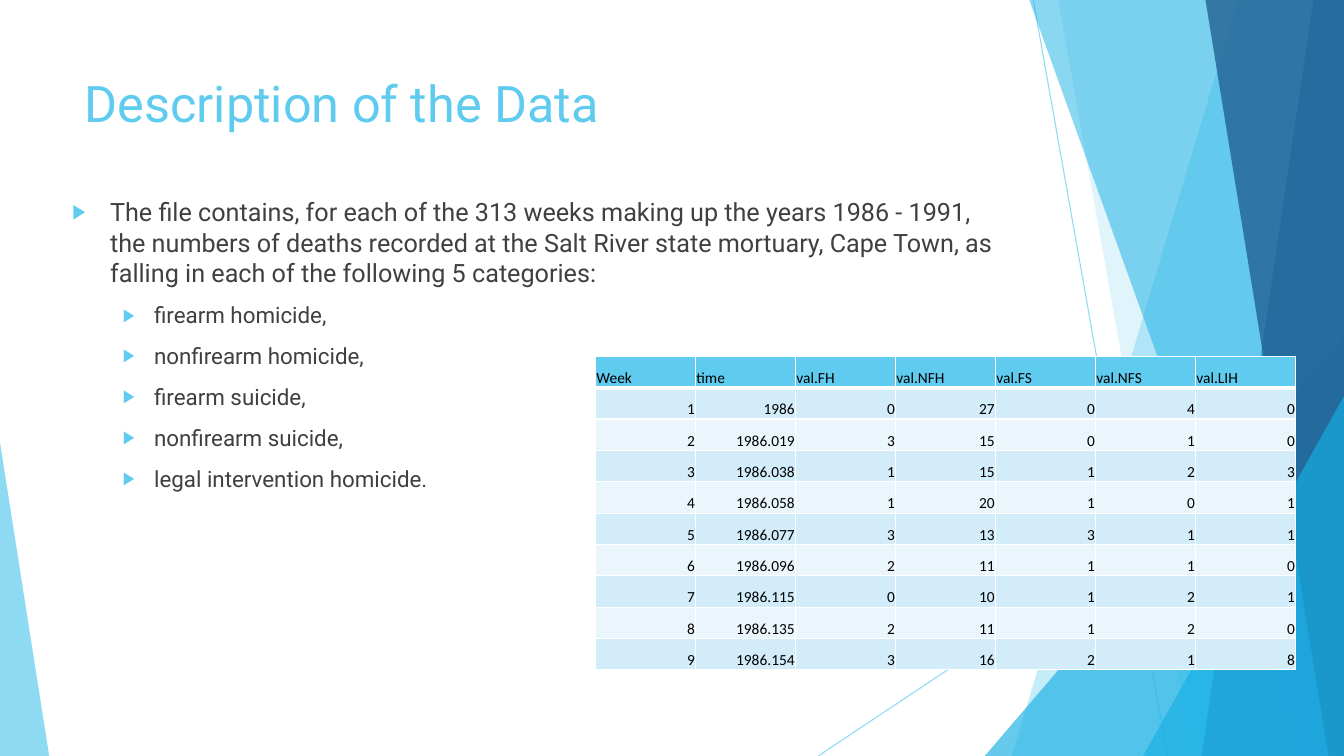
from lxml.etree import SubElement
from pptx import Presentation
from pptx.dml.color import RGBColor
from pptx.enum.shapes import MSO_CONNECTOR, MSO_SHAPE
from pptx.enum.text import MSO_ANCHOR, MSO_AUTO_SIZE, PP_ALIGN
from pptx.oxml.ns import qn
from pptx.util import Cm, Pt

COLORS = {
    "sky": "5FCBEF", "cyan": "17B0E4", "blue": "2E83C3", "navy": "226292",
    "text": "404040", "black": "000000", "white": "FFFFFF",
    "band_dark": "D2ECF9", "band_light": "EAF6FC",
}
WIDTH, HEIGHT = 33.87, 19.05

INTRO = ("The file contains, for each of the 313 weeks making up the years 1986 - 1991, "
         "the numbers of deaths recorded at the Salt River state mortuary, Cape Town, "
         "as falling in each of the following 5 categories:")
CATEGORIES = ["firearm homicide,", "nonfirearm homicide,", "firearm suicide,",
              "nonfirearm suicide,", "legal intervention homicide."]
DEATHS = [
    ["Week", "time", "val.FH", "val.NFH", "val.FS", "val.NFS", "val.LIH"],
    ["1", "1986", "0", "27", "0", "4", "0"],
    ["2", "1986.019", "3", "15", "0", "1", "0"],
    ["3", "1986.038", "1", "15", "1", "2", "3"],
    ["4", "1986.058", "1", "20", "1", "0", "1"],
    ["5", "1986.077", "3", "13", "3", "1", "1"],
    ["6", "1986.096", "2", "11", "1", "1", "0"],
    ["7", "1986.115", "0", "10", "1", "2", "1"],
    ["8", "1986.135", "2", "11", "1", "2", "0"],
    ["9", "1986.154", "3", "16", "2", "1", "8"],
]


def rgb(name):
    return RGBColor.from_string(COLORS[name])


def paint(fmt, color, alpha):
    fmt.solid()
    fmt.fore_color.rgb = rgb(color)
    for clr in fmt._xPr.iter(qn("a:srgbClr")):
        SubElement(clr, qn("a:alpha"), val=str(alpha * 1000))


def write(p, text, size=18, color="text", font="Roboto", align=PP_ALIGN.LEFT, before=0):
    p.alignment = align
    p.space_before = Pt(before)
    r = p.add_run()
    r.text = text
    r.font.size = Pt(size)
    r.font.name = font
    r.font.bold = False
    r.font.color.rgb = rgb(color)


def add_bullet(p, indent, hanging):
    pPr = p._p.get_or_add_pPr()
    pPr.set("marL", str(Cm(indent)))
    pPr.set("indent", str(-Cm(hanging)))
    clr = SubElement(pPr, qn("a:buClr"))
    SubElement(clr, qn("a:srgbClr"), val=COLORS["sky"])
    SubElement(pPr, qn("a:buSzPct"), val="80000")
    SubElement(pPr, qn("a:buFont"), typeface="Arial")
    SubElement(pPr, qn("a:buChar"), char="▶")


def add_thin_line(shapes, x1, y1, x2, y2):
    line = shapes.add_connector(MSO_CONNECTOR.STRAIGHT, Cm(x1), Cm(y1), Cm(x2), Cm(y2))
    line.line.width = Pt(0.75)
    paint(line.line.fill, "sky", 70)
    SubElement(line._element.spPr, qn("a:effectLst"))


def finish_facet(sp, color, alpha):
    paint(sp.fill, color, alpha)
    sp.line.fill.background()
    sp.shadow.inherit = False


def add_band(shapes, top_x, bottom_x, color, alpha):
    builder = shapes.build_freeform(Cm(top_x), 0, scale=1.0)
    builder.add_line_segments([(Cm(WIDTH), 0), (Cm(WIDTH), Cm(HEIGHT)),
                               (Cm(bottom_x), Cm(HEIGHT))], close=True)
    finish_facet(builder.convert_to_shape(), color, alpha)


def add_triangle(shapes, left, top, width, apex, color, alpha):
    sp = shapes.add_shape(MSO_SHAPE.ISOSCELES_TRIANGLE, Cm(left), Cm(top),
                          Cm(width), Cm(HEIGHT - top))
    sp.adjustments[0] = apex
    finish_facet(sp, color, alpha)


def add_facets(shapes):
    add_thin_line(shapes, 26.04, 0, 29.42, HEIGHT)
    add_thin_line(shapes, WIDTH, 10.23, 20.62, HEIGHT)
    add_band(shapes, 31.2, 25.5, "sky", 36)
    add_band(shapes, 26.67, 30.05, "sky", 20)
    add_triangle(shapes, 24.82, 8.47, 9.05, 1, "cyan", 66)
    add_band(shapes, 25.94, 32.79, "cyan", 50)
    add_band(shapes, 33.1, 30.28, "blue", 70)
    add_band(shapes, 30.38, 33.48, "navy", 80)
    add_triangle(shapes, 28.81, 9.98, 5.06, 1, "cyan", 66)
    add_triangle(shapes, 0, 11.15, 1.24, 0, "sky", 70)


def place(sp, left, top, width, height):
    sp.left, sp.top, sp.width, sp.height = Cm(left), Cm(top), Cm(width), Cm(height)
    tf = sp.text_frame
    tf.word_wrap = True
    tf.auto_size = MSO_AUTO_SIZE.NONE
    tf.vertical_anchor = MSO_ANCHOR.TOP
    return tf


def fill_body(tf):
    write(tf.paragraphs[0], INTRO, before=10)
    add_bullet(tf.paragraphs[0], 0.95, 0.95)
    for category in CATEGORIES:
        p = tf.add_paragraph()
        p.level = 1
        write(p, category, size=16, before=10)
        add_bullet(p, 2.06, 0.79)


def set_borders(cell, top, bottom):
    tcPr = cell._tc.get_or_add_tcPr()
    for side, width in (("L", 1), ("R", 1), ("T", top), ("B", bottom)):
        ln = SubElement(tcPr, qn(f"a:ln{side}"), w=str(Pt(width)))
        fill = SubElement(ln, qn("a:solidFill"))
        SubElement(fill, qn("a:srgbClr"), val=COLORS["white"])


def add_deaths_table(shapes):
    rows, cols = len(DEATHS), len(DEATHS[0])
    col_width, row_height = Cm(2.52), Cm(0.79)
    table = shapes.add_table(rows, cols, Cm(15.01), Cm(8.98),
                             col_width * cols, row_height * rows).table
    for i, values in enumerate(DEATHS):
        table.rows[i].height = row_height
        fill = "sky" if i == 0 else "band_dark" if i % 2 else "band_light"
        align = PP_ALIGN.RIGHT if i else PP_ALIGN.LEFT
        for j, value in enumerate(values):
            cell = table.cell(i, j)
            set_borders(cell, 3 if i == 1 else 1, 1 if i else 3)
            cell.fill.solid()
            cell.fill.fore_color.rgb = rgb(fill)
            cell.vertical_anchor = MSO_ANCHOR.BOTTOM
            cell.margin_left = cell.margin_right = cell.margin_top = Cm(0.02)
            cell.margin_bottom = 0
            write(cell.text_frame.paragraphs[0], value, size=11, color="black",
                  font="Calibri", align=align)
    for column in table.columns:
        column.width = col_width


def main():
    prs = Presentation()
    prs.slide_width, prs.slide_height = Cm(WIDTH), Cm(HEIGHT)
    slide = prs.slides.add_slide(prs.slide_layouts[1])
    shapes = slide.shapes
    title, body = slide.placeholders
    add_facets(shapes)
    for sp in (title, body):
        shapes._spTree.append(sp._element)
    tf = place(title, 1.88, 1.7, 23.88, 3.67)
    write(tf.paragraphs[0], "Description of the Data", size=36, color="sky")
    fill_body(place(body, 1.57, 4.83, 23.88, 10.78))
    add_deaths_table(shapes)
    prs.save("out.pptx")


if __name__ == "__main__":
    main()
